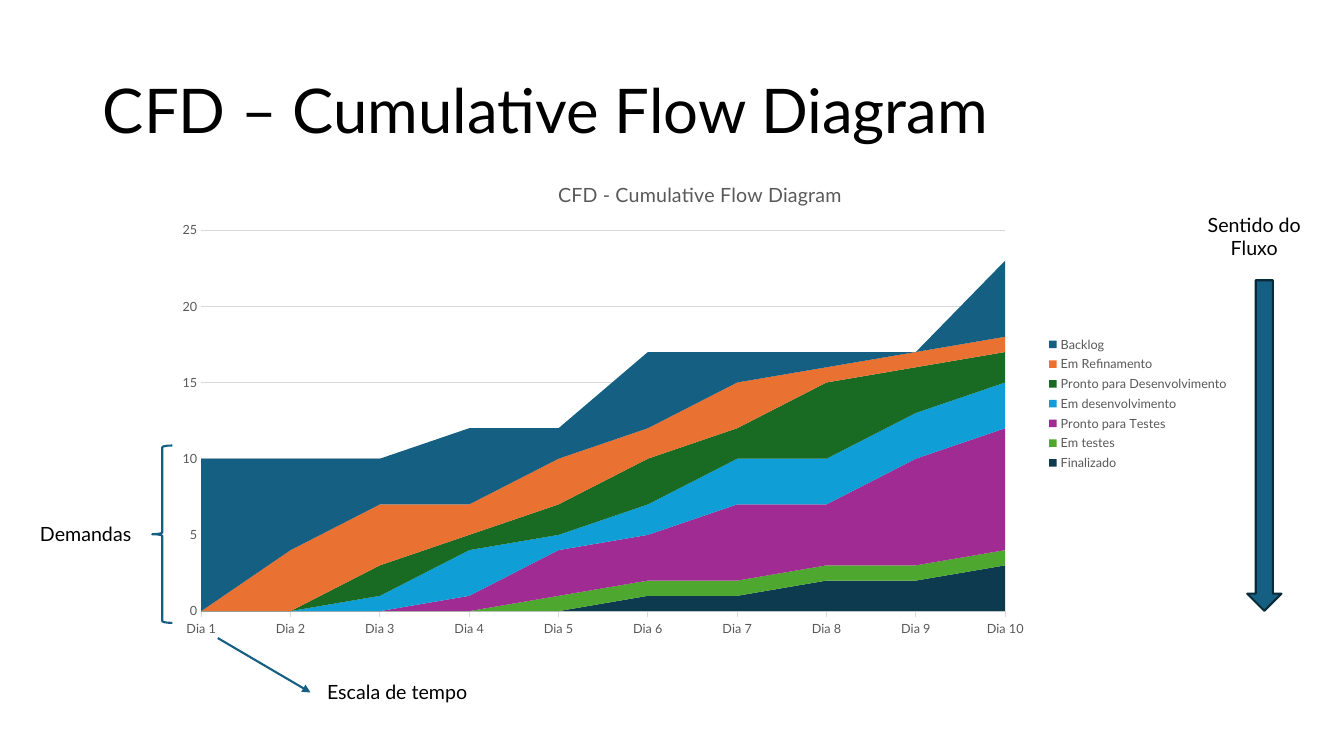
import pptx
import pptx.chart.data
import pptx.dml.color
import pptx.enum.chart
import pptx.enum.shapes
import pptx.enum.text
import pptx.oxml.ns
import pptx.oxml.xmlchemy
import pptx.util

Inches = pptx.util.Inches
Pt = pptx.util.Pt
SHAPES = pptx.enum.shapes.MSO_SHAPE
new_element = pptx.oxml.xmlchemy.OxmlElement
FONT = "Lato"
COLORS = {
    "text": "000000", "muted": "595959", "grid": "D9D9D9",
    "accent": "156082", "outline": "092A39",
}
STAGES = [
    ("Finalizado", "0D3A4E", (0, 0, 0, 0, 0, 1, 1, 2, 2, 3)),
    ("Em testes", "4EA72E", (0, 0, 0, 0, 1, 1, 1, 1, 1, 1)),
    ("Pronto para Testes", "A02B93", (0, 0, 0, 1, 3, 3, 5, 4, 7, 8)),
    ("Em desenvolvimento", "0F9ED5", (0, 0, 1, 3, 1, 2, 3, 3, 3, 3)),
    ("Pronto para Desenvolvimento", "196B24", (0, 0, 2, 1, 2, 3, 2, 5, 3, 2)),
    ("Em Refinamento", "E97132", (0, 4, 4, 2, 3, 2, 3, 1, 1, 1)),
    ("Backlog", COLORS["accent"], (10, 6, 3, 5, 2, 5, 2, 1, 0, 5)),
]
PLOT_LAYOUT = {"x": 0.037, "y": 0.142, "w": 0.746, "h": 0.786}


def rgb(value):
    return pptx.dml.color.RGBColor.from_string(value)


def style_font(font, size, color):
    font.name = FONT
    font.size = Pt(size)
    font.bold = False
    font.color.rgb = rgb(color)


def style_line(line, color, width):
    line.color.rgb = rgb(color)
    line.width = Pt(width)


def set_title(slide, text):
    title = slide.shapes.title
    title.left, title.top = Inches(0.92), Inches(0.4)
    title.width, title.height = Inches(11.5), Inches(1.45)
    frame = title.text_frame
    frame.vertical_anchor = pptx.enum.text.MSO_ANCHOR.MIDDLE
    paragraph = frame.paragraphs[0]
    paragraph.alignment = pptx.enum.text.PP_ALIGN.LEFT
    paragraph.line_spacing = 0.9
    run = paragraph.add_run()
    run.text = text
    style_font(run.font, 44, COLORS["text"])


def add_label(slide, text, left, top, width, height):
    label = slide.shapes.add_textbox(Inches(left), Inches(top), Inches(width), Inches(height))
    label.text_frame.word_wrap = True
    paragraph = label.text_frame.paragraphs[0]
    paragraph.alignment = pptx.enum.text.PP_ALIGN.CENTER
    run = paragraph.add_run()
    run.text = text
    style_font(run.font, 14, COLORS["text"])


def add_marker(slide, preset, left, top, width, height, line, fill=None):
    marker = slide.shapes.add_shape(preset, Inches(left), Inches(top), Inches(width), Inches(height))
    marker.shadow.inherit = False
    style_line(marker.line, line, 1.5)
    if fill:
        marker.fill.solid()
        marker.fill.fore_color.rgb = rgb(fill)
    else:
        marker.fill.background()


def add_arrow(slide, x1, y1, x2, y2):
    arrow = slide.shapes.add_connector(
        pptx.enum.shapes.MSO_CONNECTOR.STRAIGHT, Inches(x1), Inches(y1), Inches(x2), Inches(y2))
    style_line(arrow.line, COLORS["accent"], 1.5)
    head = new_element("a:tailEnd")
    head.set("type", "triangle")
    properties = arrow._element.spPr
    properties.get_or_add_ln().append(head)
    properties.append(new_element("a:effectLst"))


def place_plot(chart):
    plot_area = chart._chartSpace.chart.plotArea
    for old in plot_area.findall(pptx.oxml.ns.qn("c:layout")):
        plot_area.remove(old)
    layout = new_element("c:layout")
    manual = new_element("c:manualLayout")
    settings = [("layoutTarget", "inner"), ("xMode", "edge"), ("yMode", "edge"), *PLOT_LAYOUT.items()]
    for name, value in settings:
        setting = new_element(f"c:{name}")
        setting.set("val", str(value))
        manual.append(setting)
    layout.append(manual)
    plot_area.insert(0, layout)
    for crossing in plot_area.iter(pptx.oxml.ns.qn("c:crossBetween")):
        crossing.set("val", "midCat")


def style_axes(chart):
    ticks = pptx.enum.chart.XL_TICK_MARK
    days, demands = chart.category_axis, chart.value_axis
    for axis in (days, demands):
        style_font(axis.tick_labels.font, 9, COLORS["muted"])
        axis.minor_tick_mark = ticks.NONE
    days.major_tick_mark = ticks.OUTSIDE
    days.has_major_gridlines = False
    style_line(days.format.line, COLORS["grid"], 0.75)
    demands.major_tick_mark = ticks.NONE
    demands.minimum_scale, demands.maximum_scale, demands.major_unit = 0, 25, 5
    demands.format.line.fill.background()
    demands.has_major_gridlines = True
    style_line(demands.major_gridlines.format.line, COLORS["grid"], 0.75)


def add_flow_chart(slide):
    data = pptx.chart.data.CategoryChartData(number_format="General")
    data.categories = [f"Dia {day}" for day in range(1, 11)]
    for name, _, counts in STAGES:
        data.add_series(name, counts)
    chart = slide.shapes.add_chart(
        pptx.enum.chart.XL_CHART_TYPE.AREA_STACKED,
        Inches(1.6), Inches(1.6), Inches(10.69), Inches(4.81), data).chart
    style_font(chart.font, 10, COLORS["text"])
    chart.has_title = True
    heading = chart.chart_title.text_frame.paragraphs[0].add_run()
    heading.text = "CFD - Cumulative Flow Diagram"
    style_font(heading.font, 14, COLORS["muted"])
    chart.has_legend = True
    chart.legend.position = pptx.enum.chart.XL_LEGEND_POSITION.RIGHT
    chart.legend.include_in_layout = False
    style_font(chart.legend.font, 9, COLORS["muted"])
    chart.plots[0].vary_by_categories = False
    for series, (_, color, _) in zip(chart.plots[0].series, STAGES):
        series.format.fill.solid()
        series.format.fill.fore_color.rgb = rgb(color)
        series.format.line.fill.background()
    style_axes(chart)
    place_plot(chart)


def main():
    deck = pptx.Presentation()
    deck.slide_width, deck.slide_height = Inches(13.33), Inches(7.5)
    slide = deck.slides.add_slide(deck.slide_layouts[5])
    set_title(slide, "CFD – Cumulative Flow Diagram")
    add_flow_chart(slide)
    add_marker(slide, SHAPES.DOWN_ARROW, 12.37, 2.78, 0.34, 3.28, COLORS["outline"], COLORS["accent"])
    add_label(slide, "Sentido do Fluxo", 11.7, 2.06, 1.48, 0.57)
    add_label(slide, "Demandas", 0, 5.13, 1.7, 0.34)
    add_marker(slide, SHAPES.LEFT_BRACE, 1.51, 4.42, 0.2, 1.76, COLORS["accent"])
    add_label(slide, "Escala de tempo", 3.08, 6.7, 1.72, 0.34)
    add_arrow(slide, 2.16, 6.33, 3.08, 6.87)
    deck.save("out.pptx")


if __name__ == "__main__":
    main()
